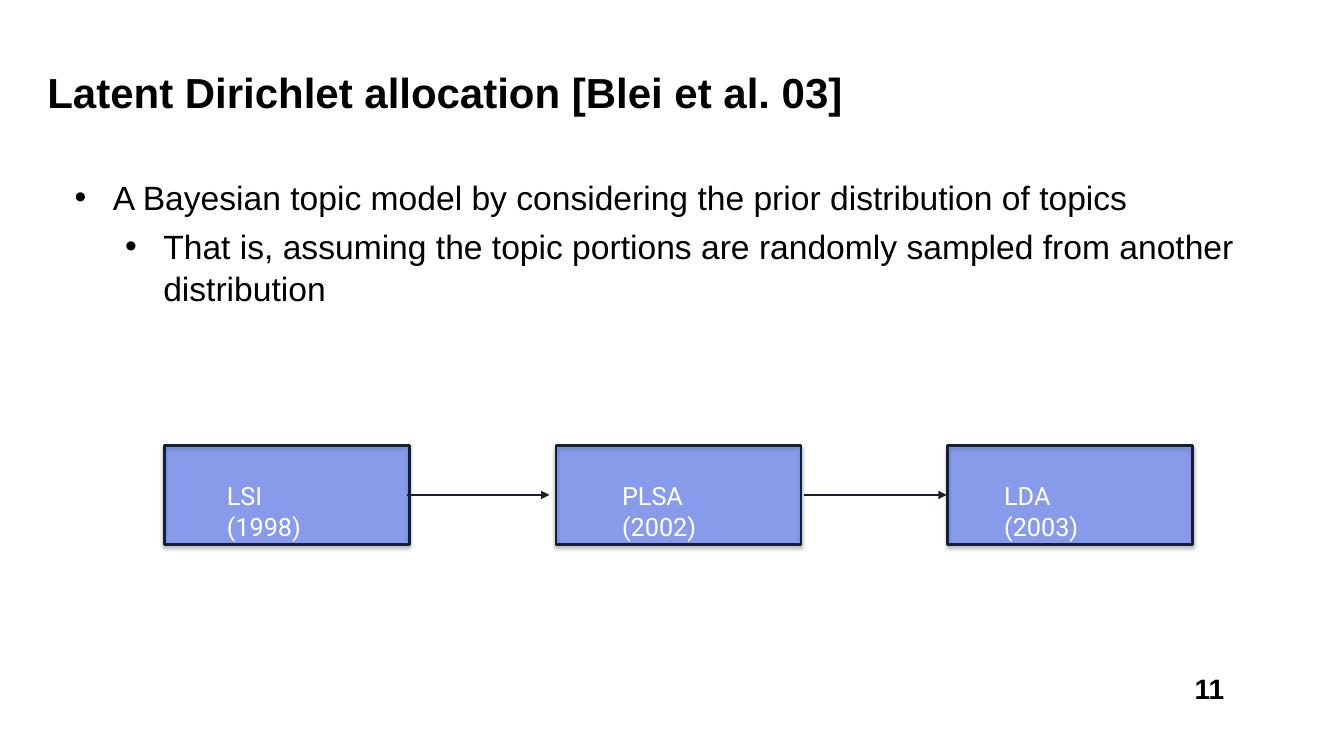
from lxml.etree import SubElement
from pptx import Presentation
from pptx.dml.color import RGBColor
from pptx.enum.shapes import MSO_CONNECTOR, MSO_SHAPE
from pptx.enum.text import MSO_ANCHOR, PP_ALIGN
from pptx.oxml.ns import qn
from pptx.util import Inches, Pt

TITLE = "Latent Dirichlet allocation [Blei et al. 03]"
BULLETS = [
    (0, "A Bayesian topic model by considering the prior distribution of topics"),
    (1, "That is, assuming the topic portions are randomly sampled from another distribution"),
]
MODELS = [("LSI (1998)", 2.2, 1.2), ("PLSA (2002)", 6.12, 1.4), ("LDA (2003)", 9.91, 1.3)]
ARROWS = [(4.04, 5.45), (7.97, 9.39)]
PAGE_NUMBER = "11"
BLACK, WHITE, BLUE, NAVY = "000000", "FFFFFF", "0433FF", "131F33"
MODEL_LEFT, MODEL_STEP, MODEL_TOP = 1.63, 3.885, 4.42
MODEL_WIDTH, MODEL_HEIGHT = 2.43, 0.98


def color(value):
    return RGBColor.from_string(value)


def add_box(page, left, top, width, height, inset=0.05, wrap=True):
    box = page.shapes.add_textbox(Inches(left), Inches(top), Inches(width), Inches(height))
    frame = box.text_frame
    frame.word_wrap = wrap
    frame.margin_left = frame.margin_right = Inches(inset)
    frame.margin_top = frame.margin_bottom = Inches(inset)
    return frame


def add_span(para, text, size, font="Arial", fill=BLACK, bold=False):
    span = para.add_run()
    span.text = text
    span.font.size = Pt(size)
    span.font.name = font
    span.font.bold = bold
    span.font.color.rgb = color(fill)


def add_bullet(para, level):
    para.level = level
    para.space_before = Pt(5)
    para.line_spacing = 1.04
    properties = para._p.get_or_add_pPr()
    properties.set("marL", str(Inches(0.38 + 0.5 * level)))
    properties.set("indent", str(Inches(-0.38)))
    SubElement(properties, qn("a:buFont"), typeface="Arial")
    SubElement(properties, qn("a:buChar"), char="•")


def add_model(page, index):
    left = MODEL_LEFT + index * MODEL_STEP
    box = page.shapes.add_shape(
        MSO_SHAPE.RECTANGLE, Inches(left), Inches(MODEL_TOP),
        Inches(MODEL_WIDTH), Inches(MODEL_HEIGHT))
    box.fill.solid()
    box.fill.fore_color.rgb = color(BLUE)
    fill = box._element.spPr.find(qn("a:solidFill"))
    SubElement(fill[0], qn("a:alpha"), val="39000")
    box.line.color.rgb = color(NAVY)
    box.line.width = Pt(2)
    SubElement(box.line._get_or_add_ln(), qn("a:round"))
    box.shadow.inherit = False
    effects = box._element.spPr.find(qn("a:effectLst"))
    shadow = SubElement(effects, qn("a:outerShdw"), blurRad=str(Pt(3)),
                        dist=str(Pt(1.8)), dir="5400000", rotWithShape="0")
    tint = SubElement(shadow, qn("a:srgbClr"), val=BLACK)
    SubElement(tint, qn("a:alpha"), val="35000")


def add_arrow(page, start, end):
    middle = Inches(MODEL_TOP + MODEL_HEIGHT / 2)
    arrow = page.shapes.add_connector(
        MSO_CONNECTOR.STRAIGHT, Inches(start), middle, Inches(end), middle)
    arrow.line.color.rgb = color(NAVY)
    arrow.line.width = Pt(2)
    SubElement(arrow.line._get_or_add_ln(), qn("a:tailEnd"), type="triangle")
    SubElement(arrow._element.spPr, qn("a:effectLst"))


def main():
    """Build the slide on latent Dirichlet allocation."""
    deck = Presentation()
    deck.slide_width, deck.slide_height = Inches(13.33), Inches(7.5)
    page = deck.slides.add_slide(deck.slide_layouts[6])

    title = add_box(page, 0.42, 0.58, 11.54, 0.72)
    title.vertical_anchor = MSO_ANCHOR.MIDDLE
    title.paragraphs[0].line_spacing = 0.9
    add_span(title.paragraphs[0], TITLE, 30, bold=True)

    number = add_box(page, 11.8, 6.62, 0.39, 0.39, 0.04, wrap=False)
    number.paragraphs[0].alignment = PP_ALIGN.CENTER
    add_span(number.paragraphs[0], PAGE_NUMBER, 20, bold=True)

    body = add_box(page, 0.69, 1.69, 12.07, 5.46)
    for index, (level, text) in enumerate(BULLETS):
        para = body.add_paragraph() if index else body.paragraphs[0]
        add_bullet(para, level)
        add_span(para, text, 24)

    for index in range(len(MODELS)):
        add_model(page, index)
    for name, left, width in MODELS:
        label = add_box(page, left, 4.72, width, 0.39)
        add_span(label.paragraphs[0], name, 18, "Roboto", WHITE)
    for start, end in ARROWS:
        add_arrow(page, start, end)

    deck.save("out.pptx")


if __name__ == "__main__":
    main()
